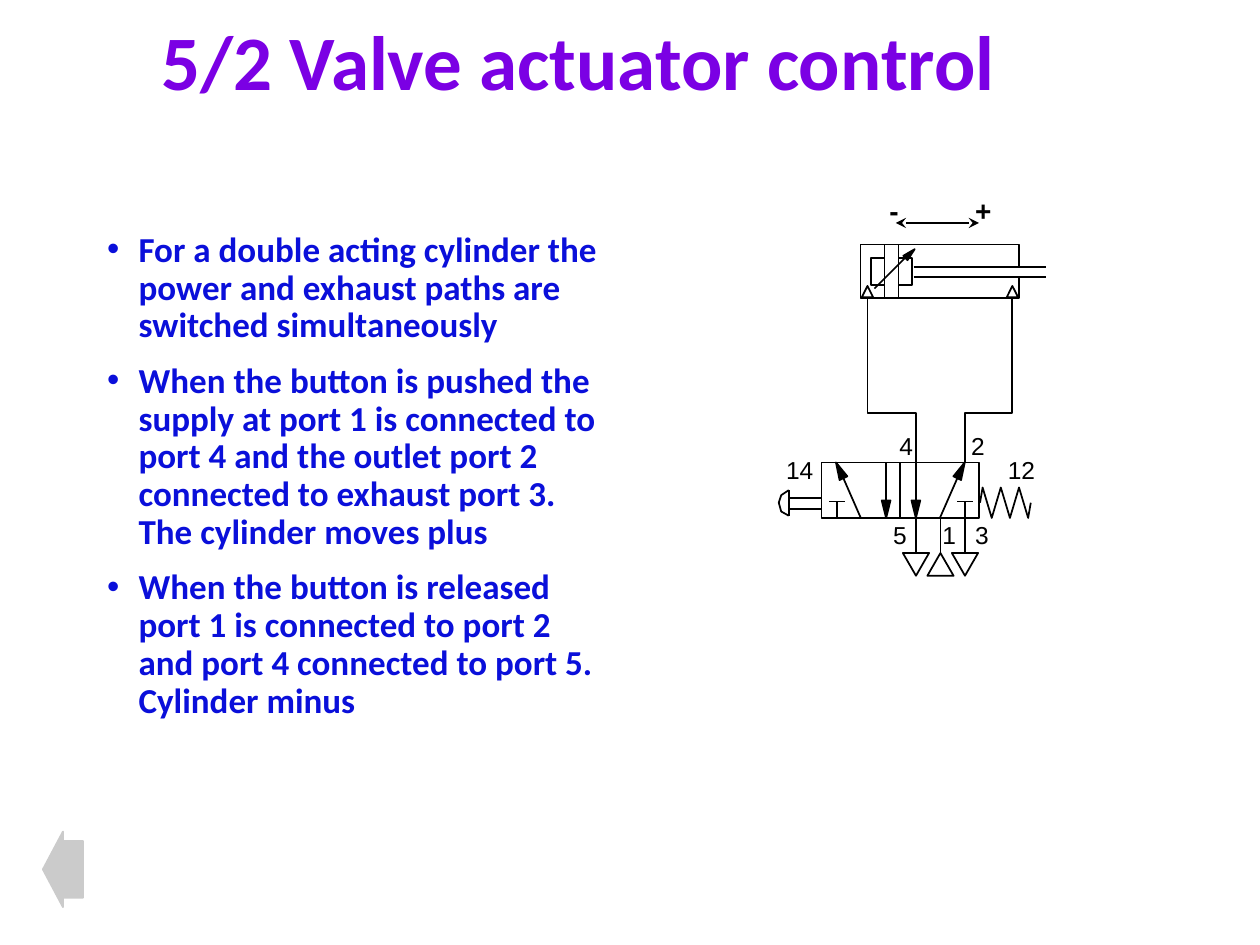
from lxml.etree import SubElement
from pptx import Presentation
from pptx.dml.color import RGBColor
from pptx.enum.shapes import MSO_CONNECTOR, MSO_SHAPE
from pptx.enum.text import MSO_ANCHOR, MSO_AUTO_SIZE, PP_ALIGN
from pptx.oxml.ns import qn
from pptx.util import Pt

COLORS = {"title": "7B00E4", "body": "0A0FDA", "ink": "000000", "back": "CBCBCB"}

BULLETS = [
    "For a double acting cylinder the power and exhaust paths are switched simultaneously",
    "When the button is pushed the supply at port 1 is connected to port 4 and the outlet "
    "port 2 connected to exhaust port 3. The cylinder moves plus",
    "When the button is released port 1 is connected to port 2 and port 4 connected to "
    "port 5. Cylinder minus",
]

# Valve geometry in points: two boxes, three ports below the right-hand box
VALVE_LEFT, VALVE_TOP, VALVE_BOTTOM, BOX_WIDTH = 469.5, 264.25, 296, 45
VALVE_CENTER = VALVE_LEFT + BOX_WIDTH
PORT_5, PORT_1, PORT_3 = PORTS = [523.4 + 14 * i for i in range(3)]
CYLINDER_PORTS = (495.7, 578.5)
CYLINDER_BOTTOM = 170.2


def rgb(name):
    return RGBColor.from_string(COLORS[name])


def write_text(text_frame, paragraphs, size, color="ink", font="Arial", bold=False,
               line_spacing=None, space_before=0, bullet_indent=None):
    for index, text in enumerate(paragraphs):
        paragraph = text_frame.paragraphs[0] if index == 0 else text_frame.add_paragraph()
        if bullet_indent:
            properties = paragraph._p.get_or_add_pPr()
            properties.set("marL", str(Pt(bullet_indent)))
            properties.set("indent", str(-Pt(bullet_indent)))
            bullet_color = SubElement(properties, qn("a:buClr"))
            SubElement(bullet_color, qn("a:srgbClr"), val=COLORS[color])
            SubElement(properties, qn("a:buFont"), typeface="Arial")
            SubElement(properties, qn("a:buChar"), char="•")
        paragraph.alignment = PP_ALIGN.LEFT
        paragraph.line_spacing = line_spacing
        paragraph.space_before = Pt(space_before if index else 0)
        run = paragraph.add_run()
        run.text = text
        run.font.name = font
        run.font.size = Pt(size)
        run.font.bold = bold
        run.font.color.rgb = rgb(color)


def place(shape, left, top, width, height):
    shape.left, shape.top = Pt(left), Pt(top)
    shape.width, shape.height = Pt(width), Pt(height)


def style(shape, fill=None, line="ink"):
    shape.shadow.inherit = False
    if fill:
        shape.fill.solid()
        shape.fill.fore_color.rgb = rgb(fill)
    else:
        shape.fill.background()
    shape.line.color.rgb = rgb(line)
    shape.line.width = Pt(1)
    return shape


def add_preset(shapes, preset, left, top, width, height, **colors):
    shape = shapes.add_shape(preset, Pt(left), Pt(top), Pt(width), Pt(height))
    return style(shape, **colors)


def add_triangle(shapes, center, top, width, height, rotation=0):
    triangle = add_preset(shapes, MSO_SHAPE.ISOSCELES_TRIANGLE,
                          center - width / 2, top, width, height)
    triangle.rotation = rotation


def add_path(shapes, points, closed=False, fill=None):
    points = [(Pt(x), Pt(y)) for x, y in points]
    builder = shapes.build_freeform(*points[0], scale=1.0)
    builder.add_line_segments(points[1:], close=closed)
    return style(builder.convert_to_shape(), fill)


def add_line(shapes, x1, y1, x2, y2, arrows=False):
    line = shapes.add_connector(MSO_CONNECTOR.STRAIGHT, Pt(x1), Pt(y1), Pt(x2), Pt(y2))
    line.line.color.rgb = rgb("ink")
    line.line.width = Pt(1)
    if arrows:
        for end in ("a:headEnd", "a:tailEnd"):
            SubElement(line.line._get_or_add_ln(), qn(end), type="stealth")
    SubElement(line._element.spPr, qn("a:effectLst"))
    return line


def add_label(shapes, text, left, top, width, height, size=14, bold=False):
    box = shapes.add_textbox(Pt(left), Pt(top), Pt(width), Pt(height))
    box.text_frame.word_wrap = False
    box.text_frame.auto_size = MSO_AUTO_SIZE.SHAPE_TO_FIT_TEXT
    write_text(box.text_frame, [text], size, bold=bold)


def add_cylinder(shapes):
    # Barrel, open on the right for the rod
    add_path(shapes, [(582.5, 152), (582.5, 139.7), (491.8, 139.7),
                      (491.8, CYLINDER_BOTTOM), (582.5, CYLINDER_BOTTOM), (582.5, 158.4)])
    for y in (152.5, 158.3):
        add_line(shapes, 522, y, 597.6, y)
    # Piston faces with a cushion on each side
    for face, cushion in ((505.4, 497.5), (513.4, 521.3)):
        add_line(shapes, face, 139.7, face, CYLINDER_BOTTOM)
        add_path(shapes, [(face, 147.6), (cushion, 147.6), (cushion, 162.7), (face, 162.7)])
    for x in CYLINDER_PORTS:
        add_triangle(shapes, x, 163.4, 6.5, 6.5)
        add_line(shapes, x, CYLINDER_BOTTOM, x, 180)
    # Adjustable cushioning arrow
    add_line(shapes, 499.7, 164.9, 520.6, 144)
    add_path(shapes, [(516.2, 146.2), (518.6, 148.7), (522.7, 142.4)], True, "ink")


def add_direction(shapes):
    add_line(shapes, 559.4, 127.4, 511.9, 127.4, arrows=True)
    add_label(shapes, "+", 550.1, 107.3, 23.8, 26.6, 16, True)
    add_label(shapes, "-", 501.1, 107.3, 20.2, 26.6, 16, True)


def add_valve(shapes):
    body = add_preset(shapes, MSO_SHAPE.RECTANGLE, VALVE_LEFT, VALVE_TOP,
                      2 * BOX_WIDTH, VALVE_BOTTOM - VALVE_TOP)
    divider = add_line(shapes, VALVE_CENTER, VALVE_TOP, VALVE_CENTER, VALVE_BOTTOM)
    divider.begin_connect(body, 0)
    divider.end_connect(body, 2)
    # Flow paths: straight exhaust in both boxes
    for x in (PORT_5, PORT_3 - BOX_WIDTH):
        add_line(shapes, x, VALVE_TOP, x, VALVE_BOTTOM)
        add_path(shapes, [(x, VALVE_BOTTOM), (x - 2.5, 286), (x + 2.5, 286)], True, "ink")
    # Flow paths: mirrored diagonal supply and blocked port
    for side, blocked in ((-1, PORT_5 - BOX_WIDTH), (1, PORT_3)):
        add_line(shapes, VALVE_CENTER + side * 22.6, VALVE_BOTTOM,
                 VALVE_CENTER + side * 36.5, VALVE_TOP)
        add_path(shapes, [(VALVE_CENTER + side * x, y) for x, y in
                          ((36.8, VALVE_TOP), (34.7, 274.3), (30.3, 272.2))], True, "ink")
        add_line(shapes, blocked, 286.6, blocked, VALVE_BOTTOM)
        add_line(shapes, blocked - 4.5, 286.6, blocked + 4.5, 286.6)
    # Ports: exhausts point down, supply points up
    for x, rotation in zip(PORTS, (180, 0, 180)):
        add_line(shapes, x, VALVE_BOTTOM, x, 316)
        add_triangle(shapes, x, 316, 15, 13, rotation)
    # Return spring
    zigzag = [(587.5 - 5.2 * i, 278.6 if i % 2 else 296) for i in range(6)]
    add_path(shapes, [(589, 287.3), *zigzag, (560, 287.3)])


def add_push_button(shapes):
    add_path(shapes, [(450.7, 280.1), (446.4, 283), (445, 287.3),
                      (446.4, 292.3), (450.7, 294.7)])
    add_line(shapes, 450.7, 280.1, 450.7, 295)
    for y in (284.4, 290.9):
        add_line(shapes, 450.7, y, VALVE_LEFT, y)


def main():
    presentation = Presentation()
    presentation.slide_width, presentation.slide_height = Pt(720), Pt(540)
    slide = presentation.slides.add_slide(presentation.slide_layouts[1])
    shapes = slide.shapes

    # Title and list
    title, body = slide.placeholders
    place(title, 85, 8.6, 538, 58.3)
    place(body, 54, 129, 300, 354)
    for placeholder in (title, body):
        placeholder.text_frame.auto_size = MSO_AUTO_SIZE.NONE
    title.text_frame.vertical_anchor = MSO_ANCHOR.MIDDLE
    write_text(title.text_frame, ["5/2 Valve actuator control"], 44, "title", "Calibri",
               bold=True, line_spacing=0.9)
    write_text(body.text_frame, BULLETS, 20, "body", "Calibri", bold=True,
               line_spacing=0.9, space_before=10, bullet_indent=18)

    # Circuit parts, each in its own group
    for add_part in (add_cylinder, add_direction, add_valve, add_push_button):
        add_part(shapes.add_group_shape().shapes)

    # Tubes between the cylinder and the valve
    for top_x, bottom_x in zip(CYLINDER_PORTS, (PORT_5, PORT_3)):
        add_path(shapes, [(top_x, CYLINDER_BOTTOM), (top_x, 236.2),
                          (bottom_x, 236.2), (bottom_x, VALVE_TOP)])

    # Port and pilot numbers
    for text, left, top in (("4", 506.9, 242.6), ("2", 547.9, 242.6),
                            ("14", 442.1, 256.3), ("12", 568.8, 256.3),
                            ("5", 503.3, 293.8), ("1", 531.4, 293.8), ("3", 550.1, 293.8)):
        add_label(shapes, text, left, top, 14.5 + 7.8 * len(text), 23.8)

    # Back arrow
    arrow = add_preset(shapes, MSO_SHAPE.LEFT_ARROW, 24.5, 475.2, 23, 43.2,
                       fill="back", line="back")
    arrow.adjustments[0] = 0.75
    arrow.adjustments[1] = 0.5

    presentation.save("out.pptx")


if __name__ == "__main__":
    main()
